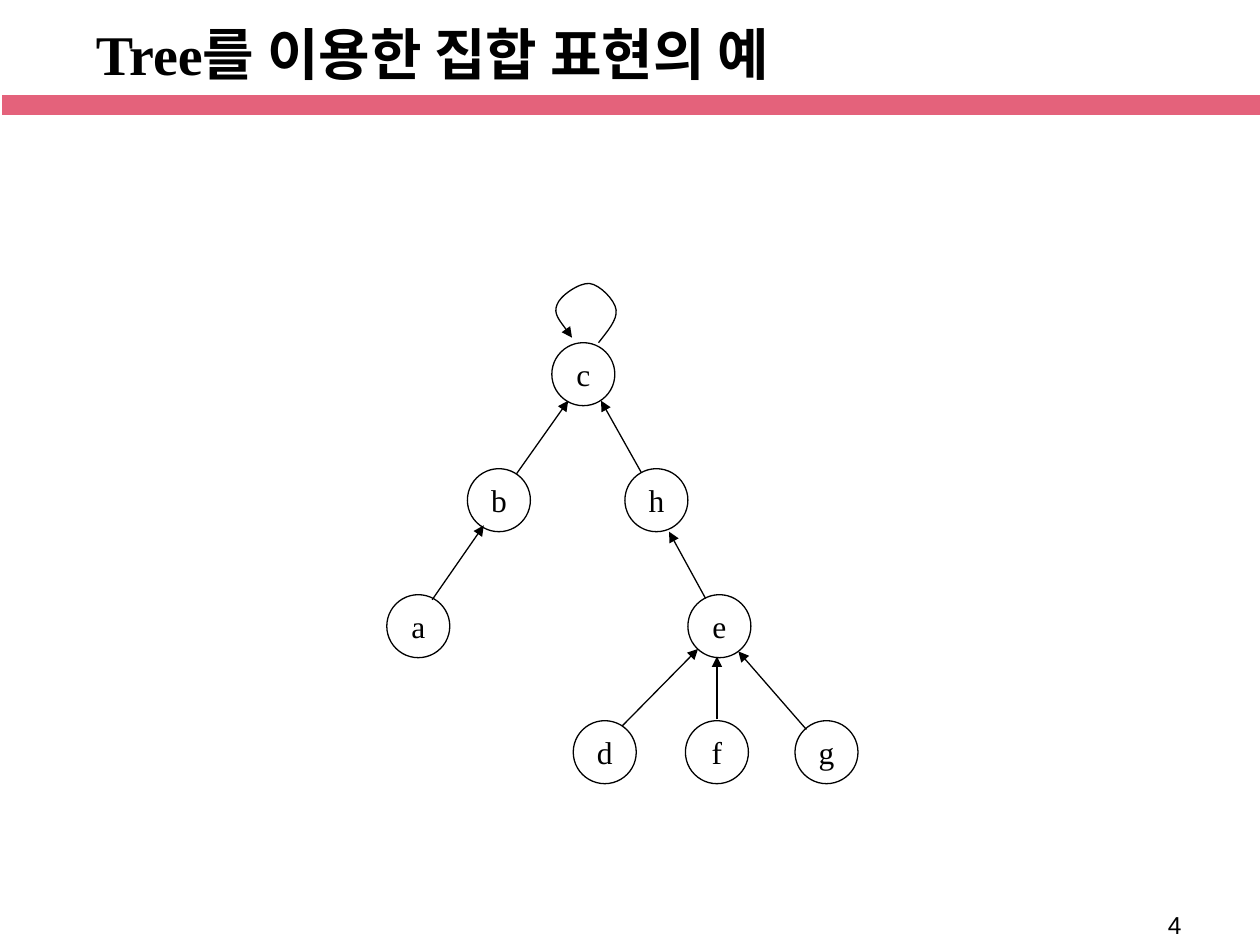
from lxml.etree import SubElement
from pptx import Presentation
from pptx.dml.color import RGBColor
from pptx.enum.shapes import MSO_CONNECTOR as Connector, MSO_SHAPE as Shape
from pptx.enum.text import MSO_ANCHOR as Anchor, MSO_AUTO_SIZE as AutoSize, PP_ALIGN as Align
from pptx.oxml.ns import qn
from pptx.util import Inches, Pt

BLACK = RGBColor(0x00, 0x00, 0x00)
WHITE = RGBColor(0xFF, 0xFF, 0xFF)
PINK = RGBColor(0xE4, 0x62, 0x7B)
SERIF = "Times New Roman"
SANS = "Arial"

NODE_SIZE = 0.5
FIRST_ROW_TOP = 0.48
ROW_STEP = 1
NODE_ROWS = [
    {"c": 1.31},
    {"b": 0.64, "h": 1.89},
    {"a": 0, "e": 2.39},
    {"d": 1.48, "f": 2.37, "g": 3.24},
]
PARENT_ARROWS = [
    ((0.36, 2.52), (0.77, 1.93)),
    ((1.03, 1.52), (1.44, 0.94)),
    ((2.02, 1.51), (1.70, 0.94)),
    ((2.53, 2.51), (2.24, 1.98)),
    ((1.87, 3.52), (2.47, 2.91)),
    ((2.62, 3.47), (2.62, 2.97)),
    ((3.33, 3.55), (2.79, 2.93)),
]
ROOT_LOOP = [
    (1.68, 0.48),
    (1.75, 0.39), (1.83, 0.30), (1.82, 0.22),
    (1.81, 0.14), (1.69, 0.02), (1.61, 0.01),
    (1.53, 0), (1.37, 0.11), (1.35, 0.18),
    (1.32, 0.25), (1.40, 0.34), (1.47, 0.44),
]


def style_text(paragraph, font_name, size, bold=False, align=Align.CENTER):
    paragraph.alignment = align
    font = paragraph.font
    font.name, font.size, font.bold = font_name, Pt(size), bold
    font.color.rgb = BLACK


def style_line(line):
    line.color.rgb = BLACK
    line.width = Pt(0.75)


def add_arrowhead(shape):
    outline = shape.element.find(".//" + qn("a:ln"))
    SubElement(outline, qn("a:tailEnd"), type="triangle")


def add_title(slide, left, top, width, height):
    title = slide.shapes.title
    title.left, title.top = Inches(left), Inches(top)
    title.width, title.height = Inches(width), Inches(height)
    frame = title.text_frame
    frame.text = "Tree를 이용한 집합 표현의 예"
    frame.auto_size = AutoSize.NONE
    frame.vertical_anchor = Anchor.MIDDLE
    style_text(frame.paragraphs[0], SERIF, 32, bold=True)


def add_rule(slide, left, top, width, height):
    rule = slide.shapes.add_shape(
        Shape.RECTANGLE, Inches(left), Inches(top), Inches(width), Inches(height))
    rule.shadow.inherit = False
    rule.fill.solid()
    rule.fill.fore_color.rgb = PINK
    rule.line.color.rgb = WHITE
    rule.line.width = Pt(1)


def add_page_number(slide, left, top, width, height):
    box = slide.shapes.add_textbox(
        Inches(left), Inches(top), Inches(width), Inches(height))
    box.text_frame.word_wrap = True
    box.text_frame.text = "4"
    style_text(box.text_frame.paragraphs[0], SANS, 14, align=Align.LEFT)


def add_node(slide, label, left, top):
    node = slide.shapes.add_shape(
        Shape.OVAL, Inches(left), Inches(top), Inches(NODE_SIZE), Inches(NODE_SIZE))
    node.shadow.inherit = False
    node.fill.background()
    style_line(node.line)
    frame = node.text_frame
    frame.word_wrap = False
    frame.vertical_anchor = Anchor.MIDDLE
    frame.text = label
    style_text(frame.paragraphs[0], SERIF, 18)


def add_arrow(slide, start, end):
    arrow = slide.shapes.add_connector(
        Connector.STRAIGHT, *(Inches(value) for value in start + end))
    style_line(arrow.line)
    add_arrowhead(arrow)
    SubElement(arrow.element.spPr, qn("a:effectLst"))


def add_curved_arrow(slide, points):
    corners = [(Inches(x), Inches(y)) for x, y in points]
    builder = slide.shapes.build_freeform(*corners[0])
    builder.add_line_segments(corners[1:], close=False)
    loop = builder.convert_to_shape()
    loop.shadow.inherit = False
    loop.fill.background()
    style_line(loop.line)
    add_arrowhead(loop)
    outline = loop.element.find(".//" + qn("a:path"))
    segments = outline.findall(qn("a:lnTo"))
    for first in range(0, len(segments), 3):
        curve = SubElement(outline, qn("a:cubicBezTo"))
        for segment in segments[first:first + 3]:
            curve.append(segment[0])
            outline.remove(segment)


def add_tree(slide, left, top):
    def place(point):
        return left + point[0], top + point[1]

    for row, nodes in enumerate(NODE_ROWS):
        for label, offset in nodes.items():
            add_node(slide, label, *place((offset, FIRST_ROW_TOP + row * ROW_STEP)))
    for start, end in PARENT_ARROWS:
        add_arrow(slide, place(start), place(end))
    add_curved_arrow(slide, [place(point) for point in ROOT_LOOP])


def main():
    presentation = Presentation()
    presentation.slide_width, presentation.slide_height = Inches(10), Inches(7.5)
    slide = presentation.slides.add_slide(presentation.slide_layouts[5])
    add_rule(slide, 0.01, 0.75, 10, 0.17)
    add_page_number(slide, 9.17, 7.17, 0.57, 0.33)
    add_tree(slide, 3.07, 2.24)
    add_title(slide, 0.36, 0, 6.15, 0.84)
    presentation.save("out.pptx")


if __name__ == "__main__":
    main()
